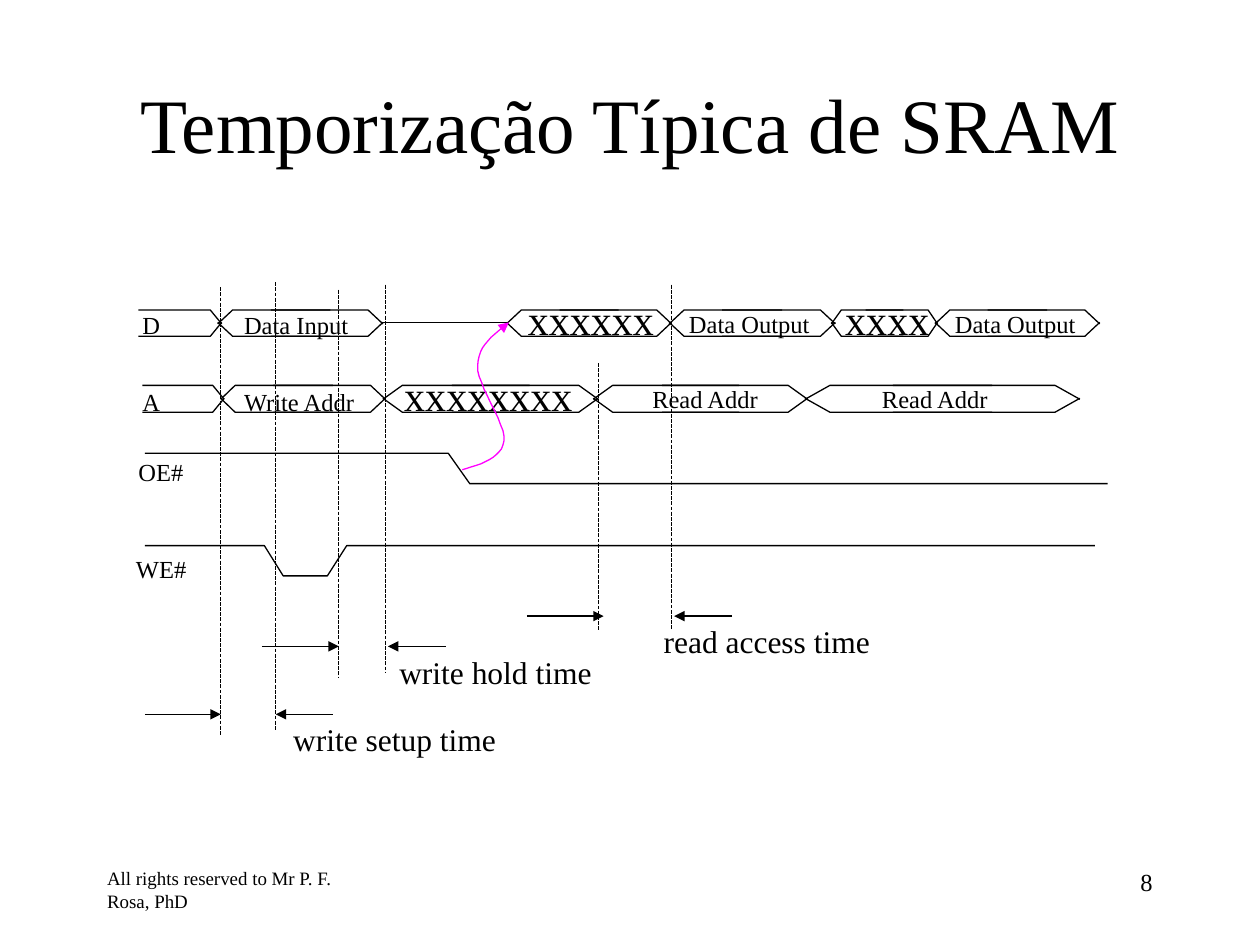
from lxml import etree
from pptx import Presentation, util as u
from pptx.dml.color import RGBColor
from pptx.enum import dml, shapes, text
from pptx.oxml.ns import qn

FONT = "Times New Roman"
BLACK, MAGENTA = "000000", "FF00FF"
HALF_SHARE, SLANT_SHARE = 0.68, 0.09
BUS_HEIGHT, TIP_DROP = 0.21, 0.11
CURVE_STEPS = 12


def cm(inches):
    return u.Cm(round(inches * 2.54, 2))


def rgb(color):
    return RGBColor.from_string(color)


def set_attrs(obj, values):
    for name, value in values.items():
        setattr(obj, name, value)


def format_text(tf, content, size, align=text.PP_ALIGN.LEFT):
    p = tf.paragraphs[0]
    p.alignment = align
    r = p.add_run()
    r.text = content
    set_attrs(r.font, {"name": FONT, "size": u.Pt(size)})
    r.font.color.rgb = rgb(BLACK)


def add_label(slide, box, content, size, align=text.PP_ALIGN.LEFT, wrap=False):
    tf = slide.shapes.add_textbox(*map(cm, box)).text_frame
    fit = text.MSO_AUTO_SIZE
    set_attrs(tf, {"word_wrap": wrap, "auto_size": fit.NONE if wrap else fit.SHAPE_TO_FIT_TEXT})
    format_text(tf, content, size, align)


def format_line(sp, color=BLACK, arrow=False, dash=None):
    set_attrs(sp.line, {"width": u.Pt(0.74), "dash_style": dash})
    sp.line.color.rgb = rgb(color)
    if arrow:
        etree.SubElement(sp.line._get_or_add_ln(), qn("a:tailEnd"), type="triangle")


def add_line(slide, start, end, **style):
    sp = slide.shapes.add_connector(shapes.MSO_CONNECTOR.STRAIGHT, *map(cm, start + end))
    format_line(sp, **style)
    etree.SubElement(sp._element.spPr, qn("a:effectLst"))


def add_trace(slide, points, **style):
    points = [(cm(x), cm(y)) for x, y in points]
    builder = slide.shapes.build_freeform(*points[0], scale=1.0)
    builder.add_line_segments(points[1:], close=False)
    sp = builder.convert_to_shape()
    sp.shadow.inherit = False
    sp.fill.background()
    format_line(sp, **style)


def add_half_cell(slide, inner, shoulder, tip, top):
    bottom = top + BUS_HEIGHT
    for edge, point in ((top, top + TIP_DROP), (bottom, bottom - TIP_DROP)):
        add_trace(slide, [(inner, edge), (shoulder, edge), (tip, point)])


def add_bus(slide, top, start, first_tip, cells):
    add_half_cell(slide, start, first_tip - 0.09, first_tip, top)
    for left, right in cells:
        width = right - left
        for tip, sign in ((left, 1), (right, -1)):
            add_half_cell(slide, tip + sign * HALF_SHARE * width,
                          tip + sign * SLANT_SHARE * width, tip, top)


def bezier(start, c1, c2, end):
    for i in range(1, CURVE_STEPS + 1):
        t = i / CURVE_STEPS
        k = 1 - t
        yield tuple(k**3 * a + 3 * k * k * t * b + 3 * k * t * t * c + t**3 * d
                    for a, b, c, d in zip(start, c1, c2, end))


def add_curve(slide, start, segments, **style):
    points = [start]
    for segment in segments:
        points.extend(bezier(points[-1], *segment))
    add_trace(slide, points, **style)


def add_interval(slide, y, before, after, label_box, label):
    for x1, x2 in (before, after):
        add_line(slide, (x1, y), (x2, y), arrow=True)
    add_label(slide, label_box, label, 18)


def main():
    prs = Presentation()
    set_attrs(prs, {"slide_width": cm(10), "slide_height": cm(7.5)})
    slide = prs.slides.add_slide(prs.slide_layouts[5])

    add_label(slide, (0.75, 6.83, 2.08, 0.5), "All rights reserved to Mr P. F. Rosa, PhD", 10.8, wrap=True)
    add_label(slide, (7.17, 6.83, 2.08, 0.5), "8", 14, text.PP_ALIGN.RIGHT, True)

    title = slide.shapes.title
    set_attrs(title, dict(zip(("left", "top", "width", "height"), map(cm, (0.75, 0.35, 8.5, 1.25)))))
    set_attrs(title.text_frame, {"word_wrap": True, "auto_size": text.MSO_AUTO_SIZE.NONE,
                                 "vertical_anchor": text.MSO_ANCHOR.MIDDLE})
    format_text(title.text_frame, "Temporização Típica de SRAM", 44, text.PP_ALIGN.CENTER)

    add_bus(slide, 2.46, 1.1, 1.76,
            [(1.73, 3.04), (4.02, 5.33), (5.31, 6.63), (6.6, 7.44), (7.42, 8.73)])
    add_line(slide, (3.04, 2.56), (4.04, 2.56))
    add_bus(slide, 3.06, 1.13, 1.78,
            [(1.75, 3.06), (3.04, 4.75), (4.71, 6.41), (6.39, 8.57)])

    for x, y, width, content in ((3.11, 2.88, 1.55, "xxxxxxxx"), (4.09, 2.28, 1.22, "xxxxxx"),
                                 (6.61, 2.28, 0.9, "xxxx")):
        add_label(slide, (x, y, width, 0.5), content, 24)

    for x, y, width, content in (
            (1.03, 2.41, 0.34, "D"), (1.84, 2.41, 1.03, "Data Input"),
            (1.03, 3.02, 0.34, "A"), (1.84, 3.02, 1.09, "Write Addr"),
            (5.08, 3, 1.05, "Read Addr"), (6.9, 3, 1.05, "Read Addr"),
            (5.37, 2.4, 1.16, "Data Output"), (7.48, 2.4, 1.16, "Data Output"),
            (1, 3.58, 0.56, "OE#"), (0.98, 4.35, 0.6, "WE#")):
        add_label(slide, (x, y, width, 0.34), content, 14)

    add_trace(slide, [(1.15, 3.6), (3.56, 3.6), (3.73, 3.84), (8.79, 3.84)])
    add_trace(slide, [(1.15, 4.33), (2.1, 4.33), (2.25, 4.57), (2.6, 4.57), (2.75, 4.33), (8.69, 4.33)])

    for x, top, bottom in ((1.75, 2.28, 5.83), (2.19, 2.24, 5.79), (2.69, 2.3, 5.38),
                           (3.06, 2.26, 5.34), (4.75, 2.88, 5), (5.33, 2.26, 5)):
        add_line(slide, (x, top), (x, bottom), dash=dml.MSO_LINE.SQUARE_DOT)

    add_interval(slide, 5.67, (1.15, 1.75), (2.64, 2.19), (2.23, 5.67, 1.81, 0.4), "write setup time")
    add_interval(slide, 5.13, (2.08, 2.69), (3.54, 3.08), (3.07, 5.13, 1.73, 0.4), "write hold time")
    add_interval(slide, 4.89, (4.18, 4.79), (5.81, 5.35), (5.17, 4.89, 1.84, 0.4), "read access time")

    add_curve(slide, (3.67, 3.73),
              [((3.82, 3.68), (3.98, 3.64), (4, 3.5)),
               ((4.02, 3.36), (3.78, 3.05), (3.79, 2.9)),
               ((3.8, 2.74), (3.92, 2.65), (4.04, 2.56))], color=MAGENTA, arrow=True)

    prs.save("out.pptx")


main()
